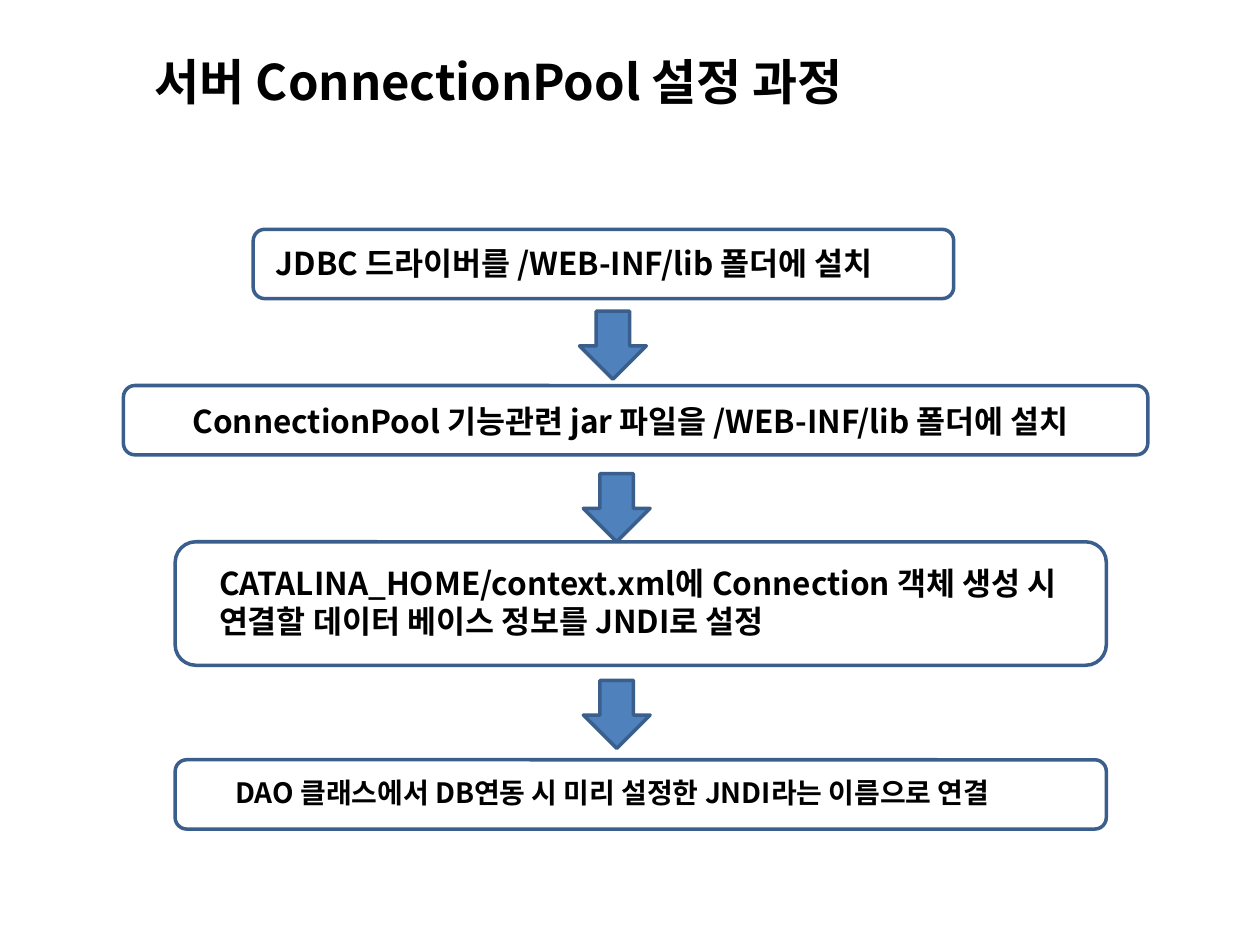
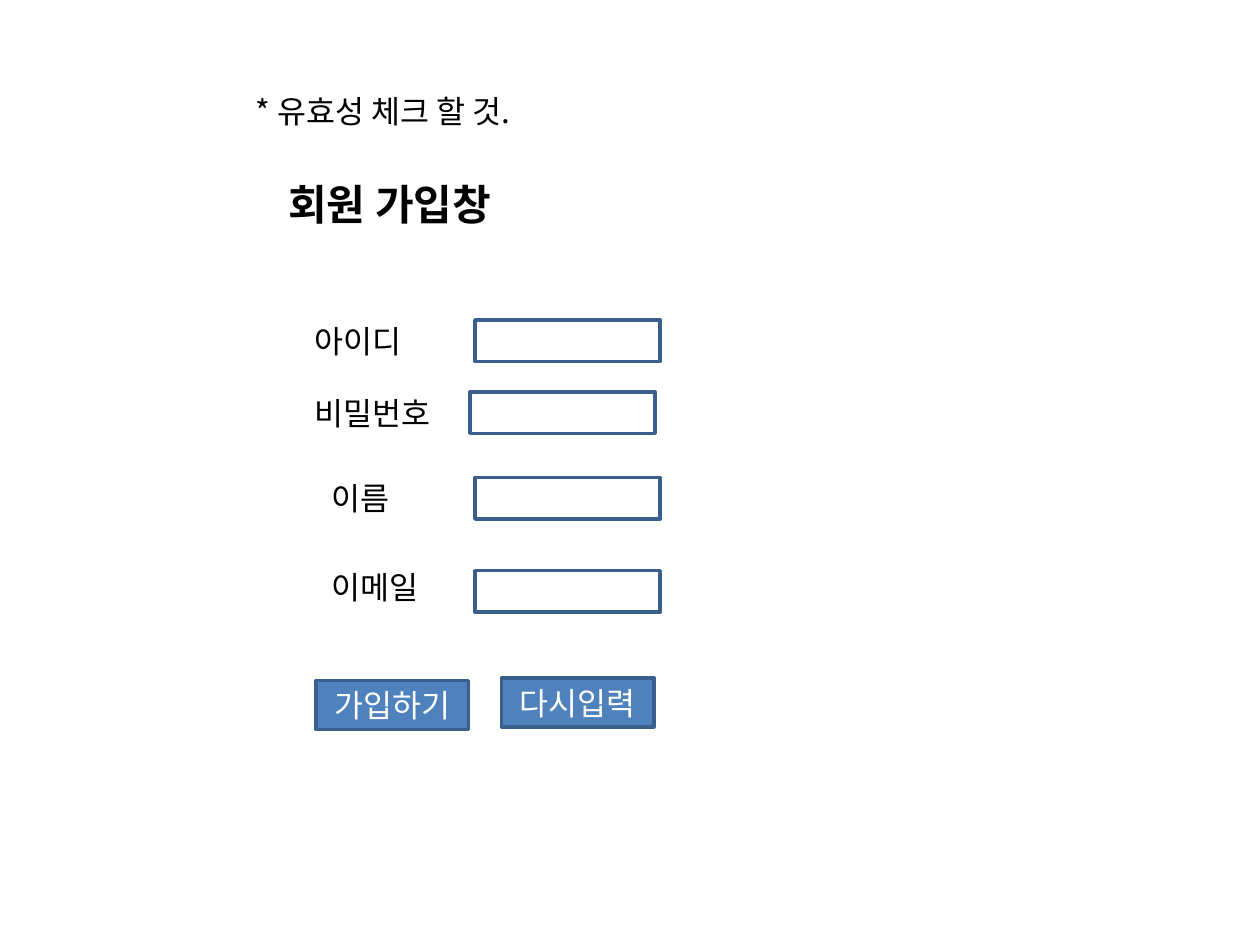
"""Builds two slides: a connection pool setup flow and a sign-up form."""
from dataclasses import dataclass
from lxml.etree import SubElement
from pptx import Presentation
from pptx.dml.color import RGBColor
from pptx.enum.shapes import MSO_SHAPE as Preset
from pptx.enum.text import MSO_ANCHOR as Anchor, MSO_AUTO_SIZE as AutoSize, PP_ALIGN as Align
from pptx.oxml.ns import qn
from pptx.util import Inches, Pt


@dataclass(frozen=True)
class Theme:
    font: str = "Noto Sans CJK KR"
    ink: RGBColor = RGBColor(0, 0, 0)
    white: RGBColor = RGBColor(255, 255, 255)
    blue: RGBColor = RGBColor.from_string("4F81BD")
    outline: RGBColor = RGBColor.from_string("3A5F8C")
    line: Pt = Pt(2)
    title: Pt = Pt(28)
    heading: Pt = Pt(24)
    body: Pt = Pt(18)
    small: Pt = Pt(16)


theme = Theme()


def write(slide, text, left, top, width, height, size=theme.body, bold=False):
    frame = slide.shapes.add_textbox(*map(Inches, (left, top, width, height))).text_frame
    frame.word_wrap = False
    frame.auto_size = AutoSize.SHAPE_TO_FIT_TEXT
    style(frame, text, size, bold, theme.ink)


def style(frame, text, size, bold, color):
    frame.text = text
    for paragraph in frame.paragraphs:
        font = paragraph.font
        font.size, font.bold, font.name = size, bold, theme.font
        font.color.rgb = color
        SubElement(paragraph._p.pPr.find(qn("a:defRPr")), qn("a:ea"), typeface=theme.font)


deck = Presentation()
deck.slide_width, deck.slide_height = Inches(10), Inches(7.5)
blank = deck.slide_layouts[6]
flow, form = (deck.slides.add_slide(blank) for _ in range(2))
outlined = []

write(flow, "서버 ConnectionPool 설정 과정", 1.13, 0.36, 5.91, 0.57, theme.title, True)
steps = [
    ("JDBC 드라이버를 /WEB-INF/lib 폴더에 설치",
     (2.01, 1.82, 5.56, 0.55), (2.09, 1.89, 5.29, 0.4), theme.body),
    ("ConnectionPool 기능관련 jar 파일을 /WEB-INF/lib 폴더에 설치",
     (0.98, 3.06, 8.13, 0.55), (1.43, 3.14, 7.56, 0.4), theme.body),
    ("CATALINA_HOME/context.xml에 Connection 객체 생성 시\n연결할 데이터 베이스 정보를 JNDI로 설정",
     (1.39, 4.3, 7.39, 0.98), (1.64, 4.43, 7.13, 0.71), theme.body),
    ("DAO 클래스에서 DB연동 시 미리 설정한 JNDI라는 이름으로 연결",
     (1.39, 6.03, 7.39, 0.55), (1.77, 6.11, 6.86, 0.37), theme.small),
]
for text, frame_box, text_box, size in steps:
    step = flow.shapes.add_shape(Preset.ROUNDED_RECTANGLE, *map(Inches, frame_box))
    step.fill.background()
    outlined.append(step)
    write(flow, text, *text_box, size, True)

for left, top in [(4.6, 2.47), (4.63, 3.76), (4.63, 5.4)]:
    arrow = flow.shapes.add_shape(Preset.DOWN_ARROW, *map(Inches, (left, top, 0.53, 0.54)))
    arrow.fill.solid()
    arrow.fill.fore_color.rgb = theme.blue
    outlined.append(arrow)

write(form, "* 유효성 체크 할 것.", 1.93, 0.68, 2.49, 0.4)
write(form, "회원 가입창", 2.19, 1.37, 2, 0.5, theme.heading, True)
fields = [
    ("아이디", 2.4, 2.51, 0.96, 3.77, 2.54),
    ("비밀번호", 2.4, 3.08, 1.21, 3.73, 3.11),
    ("이름", 2.53, 3.75, 0.71, 3.77, 3.79),
    ("이메일", 2.53, 4.46, 0.96, 3.77, 4.53),
]
for label, left, top, width, input_left, input_top in fields:
    write(form, label, left, top, width, 0.4)
    entry = form.shapes.add_shape(
        Preset.RECTANGLE, *map(Inches, (input_left, input_top, 1.47, 0.33)))
    entry.fill.background()
    outlined.append(entry)

for label, left, top in [("가입하기", 2.51, 5.4), ("다시입력", 3.98, 5.38)]:
    button = form.shapes.add_shape(Preset.RECTANGLE, *map(Inches, (left, top, 1.21, 0.39)))
    button.fill.solid()
    button.fill.fore_color.rgb = theme.blue
    style(button.text_frame, label, theme.body, False, theme.white)
    button.text_frame.vertical_anchor = Anchor.MIDDLE
    button.text_frame.paragraphs[0].alignment = Align.CENTER
    outlined.append(button)

for shape in outlined:
    shape.shadow.inherit = False
    shape.line.color.rgb = theme.outline
    shape.line.width = theme.line

deck.save("out.pptx")
